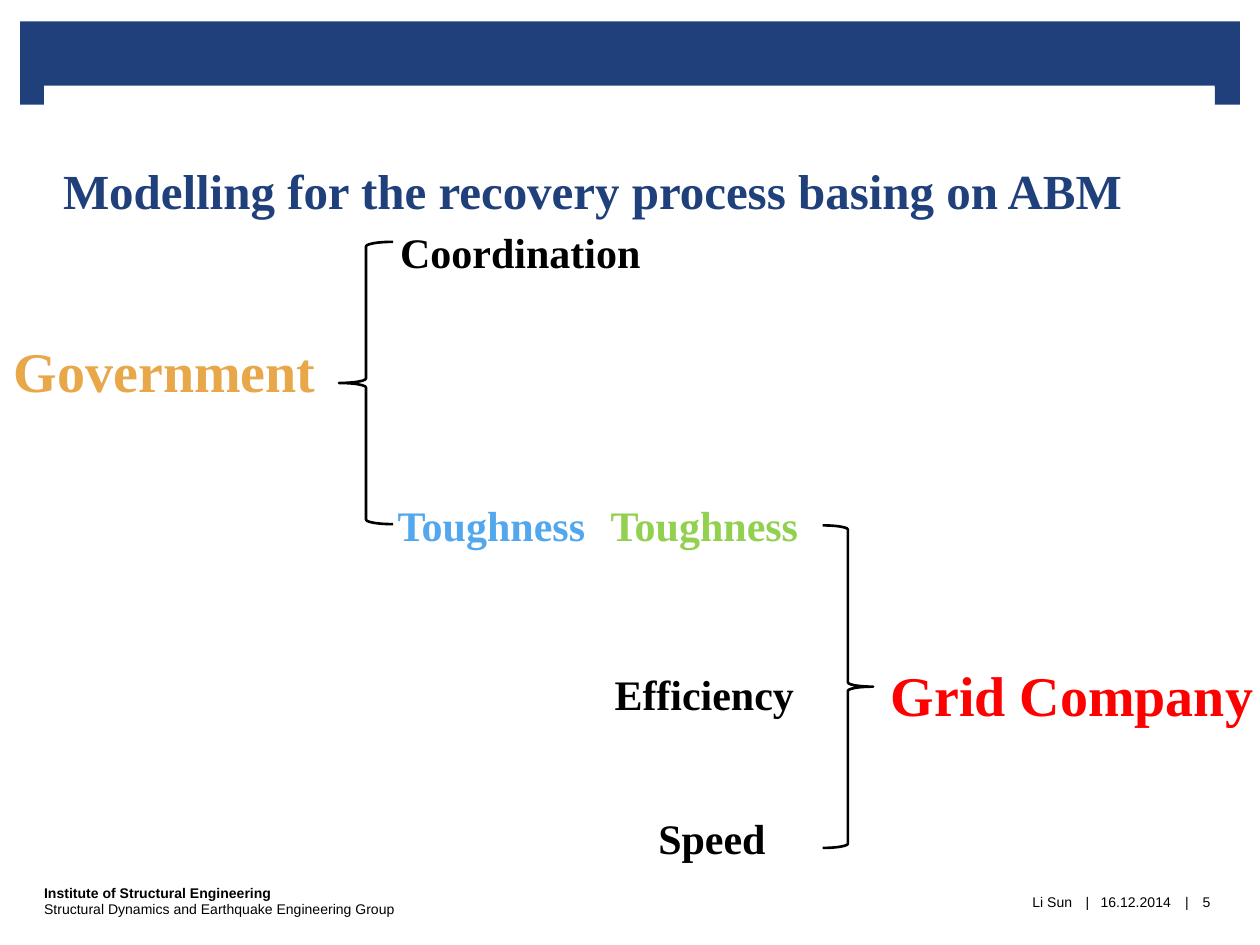
from pptx import Presentation
from pptx.dml.color import RGBColor as RGB
from pptx.enum.shapes import MSO_SHAPE as Shape
from pptx.enum.text import MSO_ANCHOR as Anchor, PP_ALIGN as Align
from pptx.util import Inches, Pt

HUES = {
    "navy": "1F407A", "white": "FFFFFF", "black": "000000", "gold": "E8A749",
    "red": "FF0000", "blue": "53A8ED", "green": "92D050",
}
TITLE = "Modelling for the recovery process basing on ABM"
BARS = [(0.16, 0.17, 9.68, 0.52), (0.16, 0.65, 0.2, 0.18), (9.64, 0.65, 0.2, 0.18)]
BRACES = [
    (Shape.LEFT_BRACE, (2.69, 1.92, 0.43, 2.24)),
    (Shape.RIGHT_BRACE, (6.53, 4.17, 0.4, 2.56)),
]
LABELS = [
    ("Government", 1.31, 2.68, 2.5, 32, "gold"),
    ("Grid Company", 8.51, 5.25, 2.96, 32, "red"),
    ("Toughness", 3.9, 3.91, 1.6, 24, "blue"),
    ("Coordination", 4.13, 1.74, 2, 24, "black"),
    ("Toughness", 5.59, 3.91, 1.6, 24, "green"),
    ("Efficiency", 5.59, 5.25, 1.6, 24, "black"),
    ("Speed", 5.65, 6.39, 1.05, 24, "black"),
]
GROUP = [
    ("Institute of Structural Engineering", True),
    ("Structural Dynamics and Earthquake Engineering Group", False),
]
FOOT = [
    ("Li Sun", 5, 3.51, Align.RIGHT),
    ("|", 8.57, 0.12, Align.CENTER),
    ("16.12.2014", 8.68, 0.67, Align.CENTER),
    ("|", 9.36, 0.12, Align.CENTER),
    ("5", 9.43, 0.29, Align.CENTER),
]
ROW_H, FOOT_Y = 0.51, 6.9

deck = Presentation()
deck.slide_width, deck.slide_height = Inches(10), Inches(7.5)
slide = deck.slides.add_slide(deck.slide_layouts[6])


def hue(name):
    return RGB.from_string(HUES[name])


def add_form(kind, box):
    form = slide.shapes.add_shape(kind, *map(Inches, box))
    form.shadow.inherit = False
    return form


def add_text(lines, box, size=8, font="Arial", color="black", align=Align.CENTER,
             anchor=Anchor.MIDDLE, wrap=False, left=0, right=0):
    item = slide.shapes.add_textbox(*map(Inches, box))
    frame = item.text_frame
    frame.word_wrap, frame.vertical_anchor = wrap, anchor
    frame.margin_left, frame.margin_right = Inches(left), Inches(right)
    frame.margin_top = frame.margin_bottom = 0
    for i, (text, bold) in enumerate(lines):
        para = frame.add_paragraph() if i else frame.paragraphs[0]
        para.alignment = align
        run = para.add_run()
        run.text = text
        run.font.size, run.font.name, run.font.bold = Pt(size), font, bold
        run.font.color.rgb = hue(color)
    return item


for box in BARS:
    bar = add_form(Shape.RECTANGLE, box)
    bar.fill.solid()
    bar.fill.fore_color.rgb = hue("navy")
    bar.line.fill.background()

add_text(GROUP, (0.35, FOOT_Y, 4.65, 0.5), align=Align.LEFT, wrap=True)
for text, x, wide, align in FOOT:
    add_text([(text, False)], (x, FOOT_Y, wide, ROW_H), align=align)

title = add_text([(TITLE, True)], (0.35, 0.68, 9.29, 1.06), size=28,
                 font="Times New Roman", color="navy", align=Align.LEFT,
                 anchor=Anchor.BOTTOM, wrap=True, left=0.15, right=0.16)
title.fill.solid()
title.fill.fore_color.rgb = hue("white")

for kind, box in BRACES:
    brace = add_form(kind, box)
    brace.fill.background()
    brace.line.color.rgb = hue("black")
    brace.line.width = Pt(1.5)

for text, mid, y, wide, size, color in LABELS:
    add_text([(text, True)], (mid - wide / 2, y, wide, ROW_H), size=size,
             font="Times New Roman", color=color)

deck.save("out.pptx")
